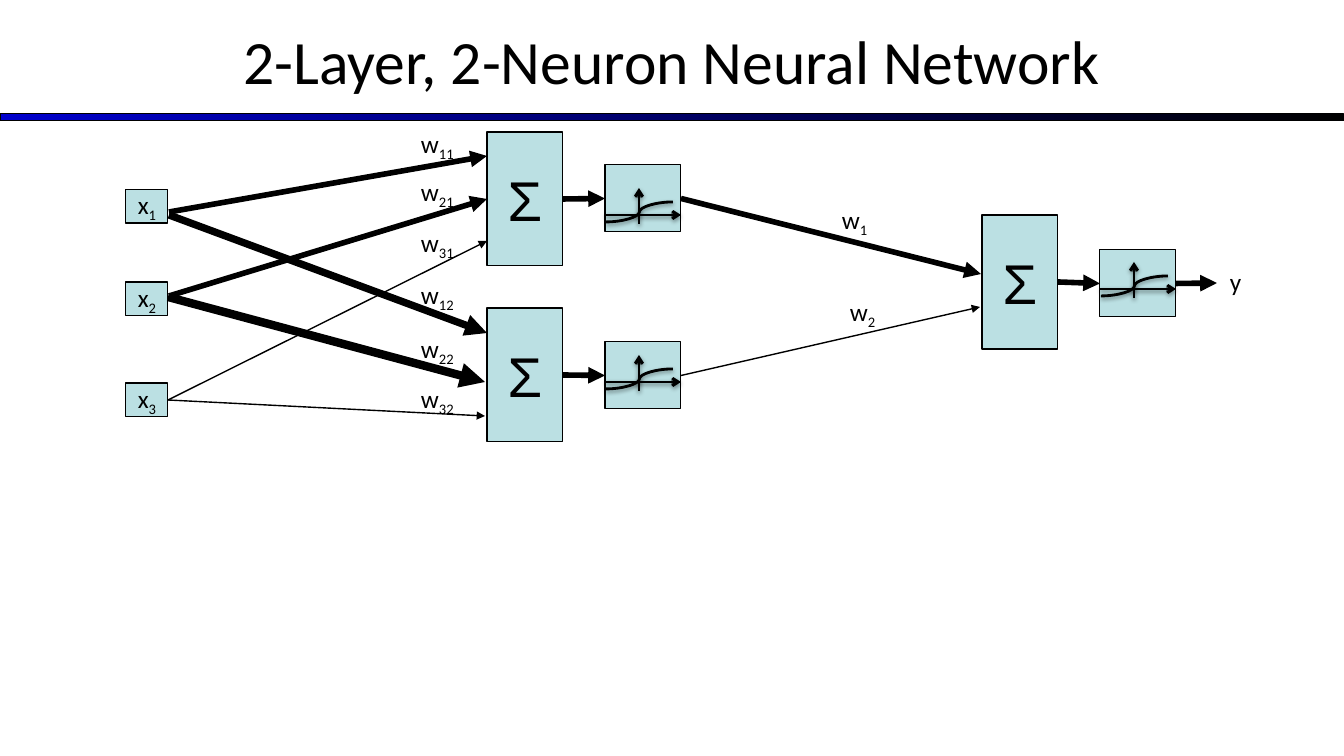
import pptx
import pptx.dml.color
import pptx.enum.dml
import pptx.enum.shapes
import pptx.enum.text
import pptx.oxml
import pptx.oxml.ns
import pptx.util

BLACK = pptx.dml.color.RGBColor(0x00, 0x00, 0x00)
BLUE = pptx.dml.color.RGBColor(0x00, 0x00, 0xCC)
TEAL = pptx.dml.color.RGBColor(0xBB, 0xE0, 0xE3)

ALIGN = pptx.enum.text.PP_ALIGN
ANCHOR = pptx.enum.text.MSO_ANCHOR
CONNECTOR = pptx.enum.shapes.MSO_CONNECTOR
RECTANGLE = pptx.enum.shapes.MSO_SHAPE.RECTANGLE

PAGE_WIDTH, PAGE_HEIGHT = 1344, 756
SCALE = 12192000 / PAGE_WIDTH
RIGHT, LEFT = 3, 1

SHADOW = (
    '<a:outerShdw blurRad="39370" dist="20320" dir="5400000" rotWithShape="0">'
    '<a:srgbClr val="000000"><a:alpha val="38000"/></a:srgbClr></a:outerShdw>'
)


def px(*lengths):
    return [pptx.util.Emu(round(length * SCALE)) for length in lengths]


class NetworkSlide:
    font = "Calibri"
    sum_font = "Arial"
    label_size = 18
    outline = 0.75

    def __init__(self, deck):
        self.page = deck.slides.add_slide(deck.slide_layouts[5])

    def add_span(self, para, text, size, font=None, subscript=False):
        span = para.add_run()
        span.text = text
        span.font.size = pptx.util.Pt(size)
        span.font.name = font or self.font
        span.font.color.rgb = BLACK
        if subscript:
            span._r.get_or_add_rPr().set("baseline", "-25000")

    def add_symbol(self, para, letter, index):
        self.add_span(para, letter, self.label_size)
        if index:
            self.add_span(para, index, self.label_size, subscript=True)

    def title(self, text, *place):
        box = self.page.shapes.title
        box.left, box.top, box.width, box.height = px(*place)
        frame = box.text_frame
        frame.auto_size = pptx.enum.text.MSO_AUTO_SIZE.NONE
        frame.vertical_anchor = ANCHOR.MIDDLE
        para = frame.paragraphs[0]
        para.alignment = ALIGN.CENTER
        self.add_span(para, text, 44)

    def box(self, *place):
        box = self.page.shapes.add_shape(RECTANGLE, *px(*place))
        box.shadow.inherit = False
        box.fill.solid()
        box.fill.fore_color.rgb = TEAL
        box.line.color.rgb = BLACK
        box.line.width = pptx.util.Pt(self.outline)
        frame = box.text_frame
        frame.word_wrap = False
        frame.vertical_anchor = ANCHOR.MIDDLE
        frame.paragraphs[0].alignment = ALIGN.CENTER
        return box

    def rule(self, *place):
        bar = self.box(*place)
        bar.fill.gradient()
        bar.fill.gradient_angle = 0
        for stop, colour, position in zip(bar.fill.gradient_stops, (BLUE, BLACK), (0, 1)):
            stop.color.rgb = colour
            stop.position = position

    def input_box(self, index, top):
        box = self.box(126, top, 42, 34)
        self.add_symbol(box.text_frame.paragraphs[0], "x", index)
        return box

    def label(self, letter, index, left, top, width=58):
        box = self.page.shapes.add_textbox(*px(left, top, width, 44))
        box.text_frame.word_wrap = True
        self.add_symbol(box.text_frame.paragraphs[0], letter, index)

    def line(self, start, end, weight, head="triangle", kind=CONNECTOR.STRAIGHT,
             shadow="", source=None, target=None):
        line = self.page.shapes.add_connector(kind, *px(*start, *end))
        line.line.color.rgb = BLACK
        line.line.width = pptx.util.Pt(weight)
        namespace = pptx.oxml.ns.nsdecls("a")
        if head:
            line.line._get_or_add_ln().append(
                pptx.oxml.parse_xml(f'<a:tailEnd {namespace} type="{head}"/>'))
        line._element.spPr.append(
            pptx.oxml.parse_xml(f"<a:effectLst {namespace}>{shadow}</a:effectLst>"))
        if source is not None:
            line.begin_connect(source, RIGHT)
        if target is not None:
            line.end_connect(target, LEFT)

    def activation(self, left, top, axis):
        box = self.box(left, top, 76, 67)
        self.line((left, axis), (left + 76, axis), 2, "arrow", shadow=SHADOW)
        self.line((left + 34, axis + 9), (left + 34, axis - 27), 2, "arrow", shadow=SHADOW)
        self.line((left + 1, axis + 7), (left + 68, axis - 13), 2, None,
                  CONNECTOR.CURVE, SHADOW)
        return box

    def neuron(self, left, top, activation_top, axis):
        total = self.box(left, top, 76, 134)
        self.add_span(total.text_frame.paragraphs[0], "Σ", 40, self.sum_font)
        squash = self.activation(left + 118, activation_top, axis)
        self.line((left + 76, top + 67), (left + 118, activation_top + 33), 4,
                  source=total, target=squash)
        return squash


def main():
    deck = pptx.Presentation()
    deck.slide_width, deck.slide_height = px(PAGE_WIDTH, PAGE_HEIGHT)
    slide = NetworkSlide(deck)
    slide.rule(0, 114, PAGE_WIDTH, 7)
    slide.title("2-Layer, 2-Neuron Neural Network", 0, -3, PAGE_WIDTH, 126)

    slide.input_box("1", 189)
    slide.input_box("2", 282)
    third_input = slide.input_box("3", 383)
    upper = slide.neuron(487, 132, 165, 215)
    lower = slide.neuron(487, 308, 342, 382)
    output = slide.neuron(982, 215, 250, 289)

    links = [
        ((169, 212), (487, 156), 4, None),
        ((169, 296), (487, 199), 4, None),
        ((168, 400), (487, 241), 1, third_input),
        ((169, 215), (487, 333), 5.25, None),
        ((168, 297), (485, 382), 6, None),
        ((168, 400), (485, 416), 1, third_input),
        ((681, 199), (981, 274), 4, upper),
        ((681, 375), (980, 307), 1, lower),
        ((1176, 283), (1217, 283), 4, output),
    ]
    for start, end, weight, source in links:
        slide.line(start, end, weight, source=source)

    weight_tops = {"11": 123, "21": 171, "31": 222, "12": 274, "22": 328, "32": 378}
    for index, top in weight_tops.items():
        slide.label("w", index, 411, top)
    slide.label("w", "1", 832, 199)
    slide.label("w", "2", 840, 291)
    slide.label("y", "", 1220, 261, 92)

    deck.save("out.pptx")


if __name__ == "__main__":
    main()
